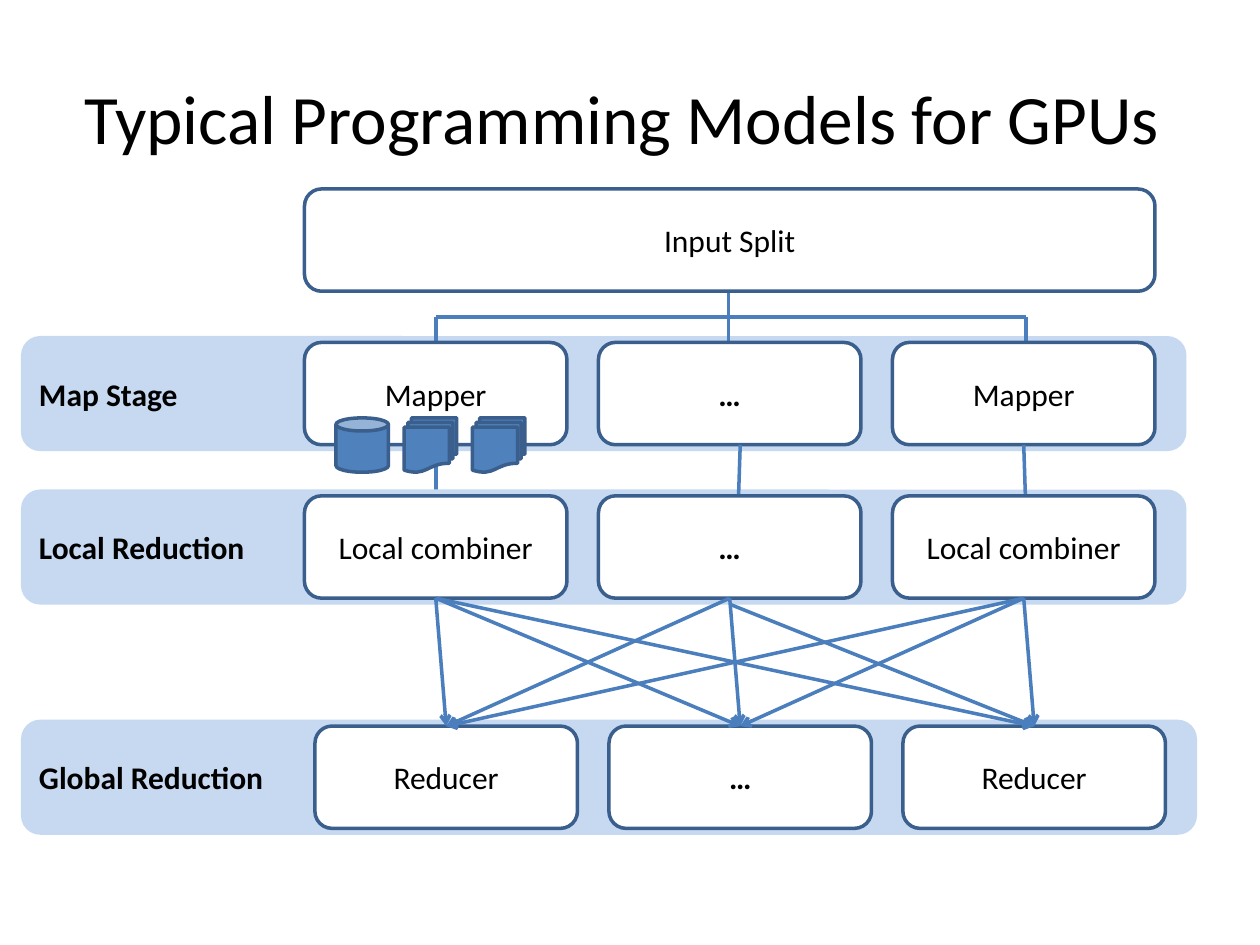
from dataclasses import dataclass
from itertools import product

from lxml import etree
from pptx import Presentation
from pptx import util as u
from pptx.dml.color import RGBColor
from pptx.enum import shapes, text
from pptx.oxml.ns import qn


@dataclass(frozen=True)
class Theme:
    font: str = "Calibri"
    ink: str = "000000"
    paper: str = "FFFFFF"
    band: str = "C6D9F1"
    icon: str = "4F81BD"
    edge: str = "3A5F8C"
    link: str = "4B7EBC"
    title: float = 39.6
    body: float = 18
    stroke: float = 2


T = Theme()
KIND = shapes.MSO_SHAPE
COL, ROW, TOP = 10 / 120, 0.1015, 1.5
CARD_W, CARD_H, PITCH = 25, 8, 28
BOTTOM_SIDE, TOP_SIDE = 2, 0


def px(col):
    return u.Inches(col * COL)


def py(row):
    return u.Inches(TOP + row * ROW)


def write(tf, words, align, size=T.body, bold=False):
    tf.word_wrap = True
    tf.vertical_anchor = text.MSO_ANCHOR.MIDDLE
    p = tf.paragraphs[0]
    p.alignment = align
    r = p.add_run()
    r.text = words
    for name, value in {"name": T.font, "size": u.Pt(size), "bold": bold}.items():
        setattr(r.font, name, value)
    r.font.color.rgb = RGBColor.from_string(T.ink)


def shape(s, kind, box, fill, edge=None):
    x, y, w, h = box
    sp = s.shapes.add_shape(kind, px(x), py(y), px(w), u.Inches(h * ROW))
    sp.shadow.inherit = False
    sp.fill.solid()
    sp.fill.fore_color.rgb = RGBColor.from_string(fill)
    if edge:
        sp.line.color.rgb = RGBColor.from_string(edge)
        sp.line.width = u.Pt(T.stroke)
    else:
        sp.line.fill.background()
    return sp


def line(s, x1, y1, x2, y2, arrow=False):
    c = s.shapes.add_connector(shapes.MSO_CONNECTOR.STRAIGHT,
                               px(x1), py(y1), px(x2), py(y2))
    c.line.color.rgb = RGBColor.from_string(T.link)
    c.line.width = u.Pt(T.stroke)
    if arrow:
        etree.SubElement(c.line._get_or_add_ln(), qn("a:tailEnd"), type="arrow")
    etree.SubElement(c._element.spPr, qn("a:effectLst"))
    return c


def join(c, start, end):
    c.begin_connect(start, BOTTOM_SIDE)
    c.end_connect(end, TOP_SIDE)


def title(s, box, words):
    sp = s.shapes.title
    for name, value in zip(("left", "top", "width", "height"), box):
        setattr(sp, name, u.Inches(value))
    write(sp.text_frame, words, text.PP_ALIGN.CENTER, T.title)


def card(s, box, words):
    sp = shape(s, KIND.ROUNDED_RECTANGLE, box, T.paper, T.edge)
    write(sp.text_frame, words, text.PP_ALIGN.CENTER, bold=words == "…")
    return sp


def band(s, box, label):
    sp = shape(s, KIND.ROUNDED_RECTANGLE, box, T.band)
    write(sp.text_frame, label, text.PP_ALIGN.LEFT, bold=True)


def stage(s, box, label, name, lead=27, links=()):
    x, y, w, h = box
    band(s, box, label)
    lines = [line(s, *ends) for ends in links]
    cards = [card(s, (x + lead + i * PITCH, y + (h - CARD_H) / 2, CARD_W, CARD_H), words)
             for i, words in enumerate((name, "…", name))]
    return cards, lines


def shuffle(s, senders, receivers):
    for (i, start), (j, end) in product(enumerate(senders), enumerate(receivers)):
        if (i, j) == (1, 2):
            line(s, 69.6, 32.5, 98.5, 42, True).end_connect(end, TOP_SIDE)
        else:
            join(line(s, 0, 0, 1, 1, True), start, end)


def icons(s, box):
    x, y, w, h = box
    kinds = (KIND.CAN, KIND.FLOWCHART_MULTIDOCUMENT, KIND.FLOWCHART_MULTIDOCUMENT)
    for i, kind in enumerate(kinds):
        shape(s, kind, (x + i * 6.5, y, w, h), T.icon, T.edge)


def main():
    prs = Presentation()
    prs.slide_width, prs.slide_height = u.Inches(10), u.Inches(7.5)
    s = prs.slides.add_slide(prs.slide_layouts[5])
    title(s, (0.5, 0.3, 9, 1.25), "Typical Programming Models for GPUs ")

    left, mid, right, bar, drop = 41.5, 69.4, 97.7, 10, 13
    tree = [(left, bar, right, bar), (left, bar, left, drop),
            (mid, 7, mid, drop), (right, bar, right, drop),
            (left, 20, left, 24)]
    mappers, links = stage(s, (2, 11.5, 111, 9), "Map Stage", "Mapper", links=tree)
    card(s, (29, 0, 81, CARD_H), "Input Split")
    combiners, _ = stage(s, (2, 23.5, 111, 9), "Local Reduction", "Local combiner",
                         links=[(70.5, 20, 70.3, 25), (97.5, 20, right, 25)])
    join(links[-1], mappers[0], combiners[0])
    reducers, _ = stage(s, (2, 41.5, 112, 9), "Global Reduction", "Reducer", lead=28)
    shuffle(s, combiners, reducers)
    icons(s, (32, 17.9, 5, 4.25))
    prs.save("out.pptx")


if __name__ == "__main__":
    main()
